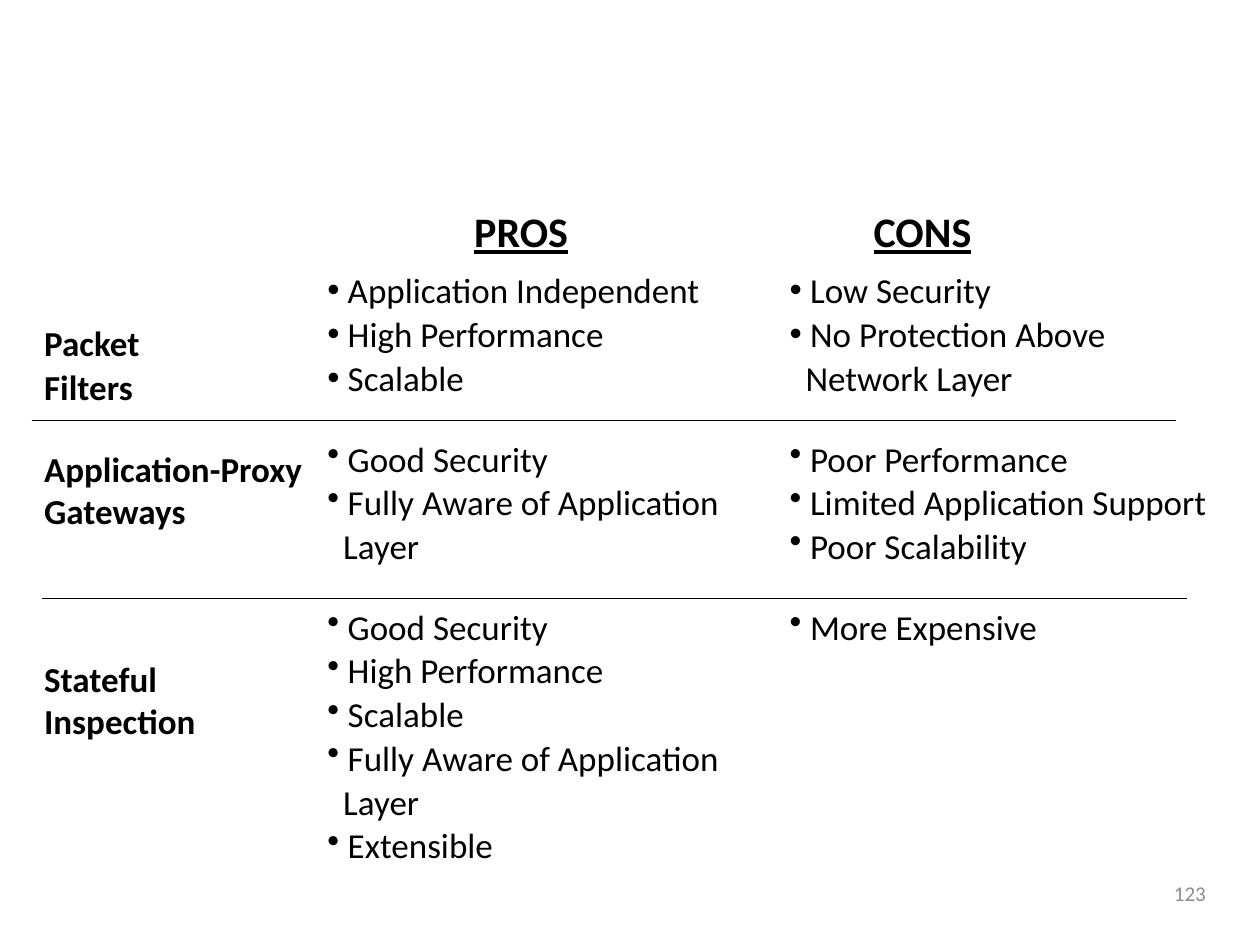
from dataclasses import dataclass

from lxml import etree
from pptx import Presentation
from pptx.dml.color import RGBColor
from pptx.enum.shapes import MSO_CONNECTOR as Connector
from pptx.enum.text import MSO_ANCHOR as Anchor, MSO_AUTO_SIZE as AutoSize, PP_ALIGN as Align
from pptx.oxml.ns import qn
from pptx.util import Cm, Pt


@dataclass(frozen=True)
class Theme:
    font: str = "Calibri"
    ink: RGBColor = RGBColor(0x00, 0x00, 0x00)
    muted: RGBColor = RGBColor(0x8C, 0x8C, 0x8C)
    heading_size: int = 24
    text_size: int = 20
    number_size: int = 12
    rule_width: float = 0.75
    space_before: int = 1
    bullet_indent: float = 0.41
    wrap_indent: float = 0.32


def write(para, text, *, theme, size, color=None, bold=False, underline=False,
          align=Align.LEFT, bullet=False, margin=0):
    """Fill one paragraph and format it."""
    para.alignment = align
    para.space_before = Pt(theme.space_before)
    span = para.add_run()
    span.text = text
    font = span.font
    font.name, font.size = theme.font, Pt(size)
    font.bold, font.underline = bold, underline
    font.color.rgb = color or theme.ink
    properties = para._p.get_or_add_pPr()
    properties.set("marL", str(Cm(margin)))
    properties.set("indent", str(-Cm(margin) if bullet else 0))
    if bullet:
        etree.SubElement(properties, qn("a:buChar")).set("char", "•")
    else:
        etree.SubElement(properties, qn("a:buNone"))


class ComparisonSlide:
    """Holds the theme and the slide, and draws each kind of element."""

    def __init__(self, page, theme):
        self.page, self.theme = page, theme

    def box(self, left, top, width, height, placeholder=None, anchor=Anchor.TOP):
        area = [Cm(length) for length in (left, top, width, height)]
        if placeholder is None:
            shape = self.page.shapes.add_textbox(*area)
        else:
            shape = self.page.placeholders[placeholder]
            shape.left, shape.top, shape.width, shape.height = area
        frame = shape.text_frame
        frame.word_wrap, frame.auto_size = True, AutoSize.NONE
        frame.vertical_anchor = anchor
        frame.margin_left = frame.margin_right = Cm(0.25)
        frame.margin_top = frame.margin_bottom = Cm(0.13)
        return frame

    def lines(self, frame, texts, **style):
        for index, text in enumerate(texts):
            para = frame.add_paragraph() if index else frame.paragraphs[0]
            write(para, text, theme=self.theme, **style)

    def heading(self, text, left, placeholder):
        frame = self.box(left, 4.02, 3.18, 1.27, placeholder)
        self.lines(frame, [text], size=self.theme.heading_size, bold=True, underline=True)

    def label(self, texts, top, width):
        frame = self.box(0.64, top, width, 1.98)
        self.lines(frame, texts, size=self.theme.text_size, bold=True)

    def bullets(self, items, left, top, width, placeholder=None):
        """A tuple is one item: its first line and the line it runs on to."""
        rows = []
        for item in items:
            first, *rest = item if isinstance(item, tuple) else (item,)
            rows.append((first, True, self.theme.bullet_indent))
            rows += [(text, False, self.theme.wrap_indent) for text in rest]
        frame = self.box(left, top, width, 0.25 + 0.88 * len(rows), placeholder)
        for index, (text, bullet, margin) in enumerate(rows):
            para = frame.add_paragraph() if index else frame.paragraphs[0]
            write(para, text, theme=self.theme, size=self.theme.text_size,
                  bullet=bullet, margin=margin)

    def rule(self, left, top, width):
        line = self.page.shapes.add_connector(
            Connector.STRAIGHT, Cm(left), Cm(top), Cm(left + width), Cm(top))
        line.line.color.rgb = self.theme.ink
        line.line.width = Pt(self.theme.rule_width)
        etree.SubElement(line._element.spPr, qn("a:effectLst"))

    def number(self, text):
        frame = self.box(18.21, 17.35, 6.35, 1.32, anchor=Anchor.MIDDLE)
        self.lines(frame, [text], size=self.theme.number_size,
                   color=self.theme.muted, align=Align.RIGHT)


AWARE = ("Fully Aware of Application", "Layer")
# Label lines, label top, label width, pros, cons
ROWS = [
    (["Packet", "Filters"], 6.35, 4.45,
     ["Application Independent", "High Performance", "Scalable"],
     ["Low Security", ("No Protection Above", "Network Layer")]),
    (["Application-Proxy Gateways"], 8.89, 5.92,
     ["Good Security", AWARE],
     ["Poor Performance", "Limited Application Support", "Poor Scalability"]),
    (["Stateful Inspection"], 13.12, 5.69,
     ["Good Security", "High Performance", "Scalable", AWARE, "Extensible"],
     ["More Expensive"]),
]
PROS_LEFT, CONS_LEFT = 6.35, 15.67
FIRST_ROW, ROW_STEP = 5.29, 3.39


def main():
    deck = Presentation()
    deck.slide_width, deck.slide_height = Cm(25.4), Cm(19.05)
    page = deck.slides.add_slide(deck.slide_layouts.get_by_name("Comparison"))
    title = page.shapes.title._element
    title.getparent().remove(title)
    slide = ComparisonSlide(page, Theme())

    # Column headings
    slide.heading("PROS", 9.31, placeholder=1)
    slide.heading("CONS", 17.36, placeholder=3)

    # Firewall types; the first row fills the layout's body placeholders
    for index, (label, label_top, label_width, pros, cons) in enumerate(ROWS):
        top = FIRST_ROW + index * ROW_STEP
        slide.label(label, label_top, label_width)
        slide.bullets(pros, PROS_LEFT, top, 10.36, None if index else 2)
        slide.bullets(cons, CONS_LEFT, top, 9.73, None if index else 4)

    # Row rules and page number
    slide.rule(0.64, 8.47, 23.07)
    slide.rule(0.85, 12.06, 23.07)
    slide.number("123")

    deck.save("out.pptx")


if __name__ == "__main__":
    main()
